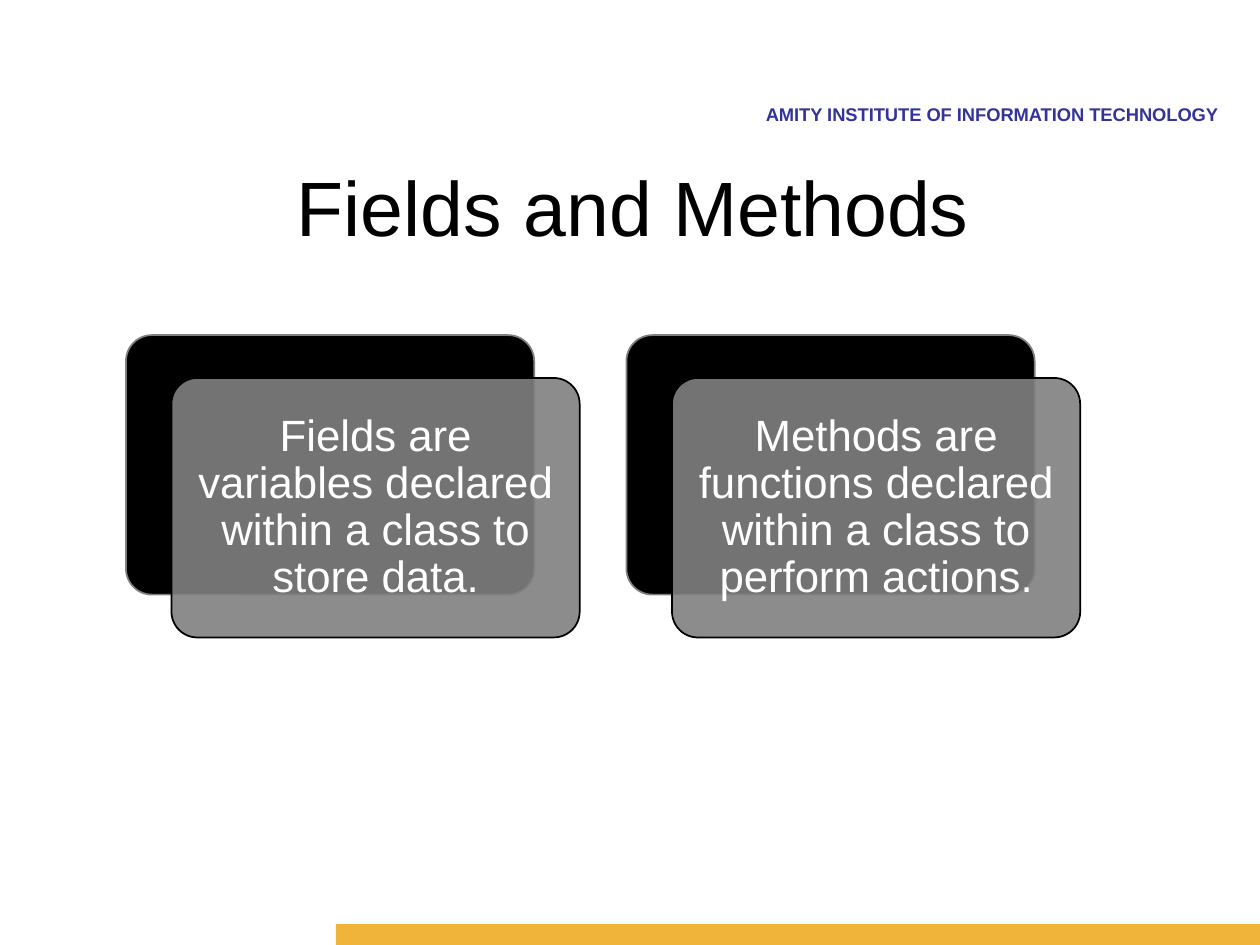
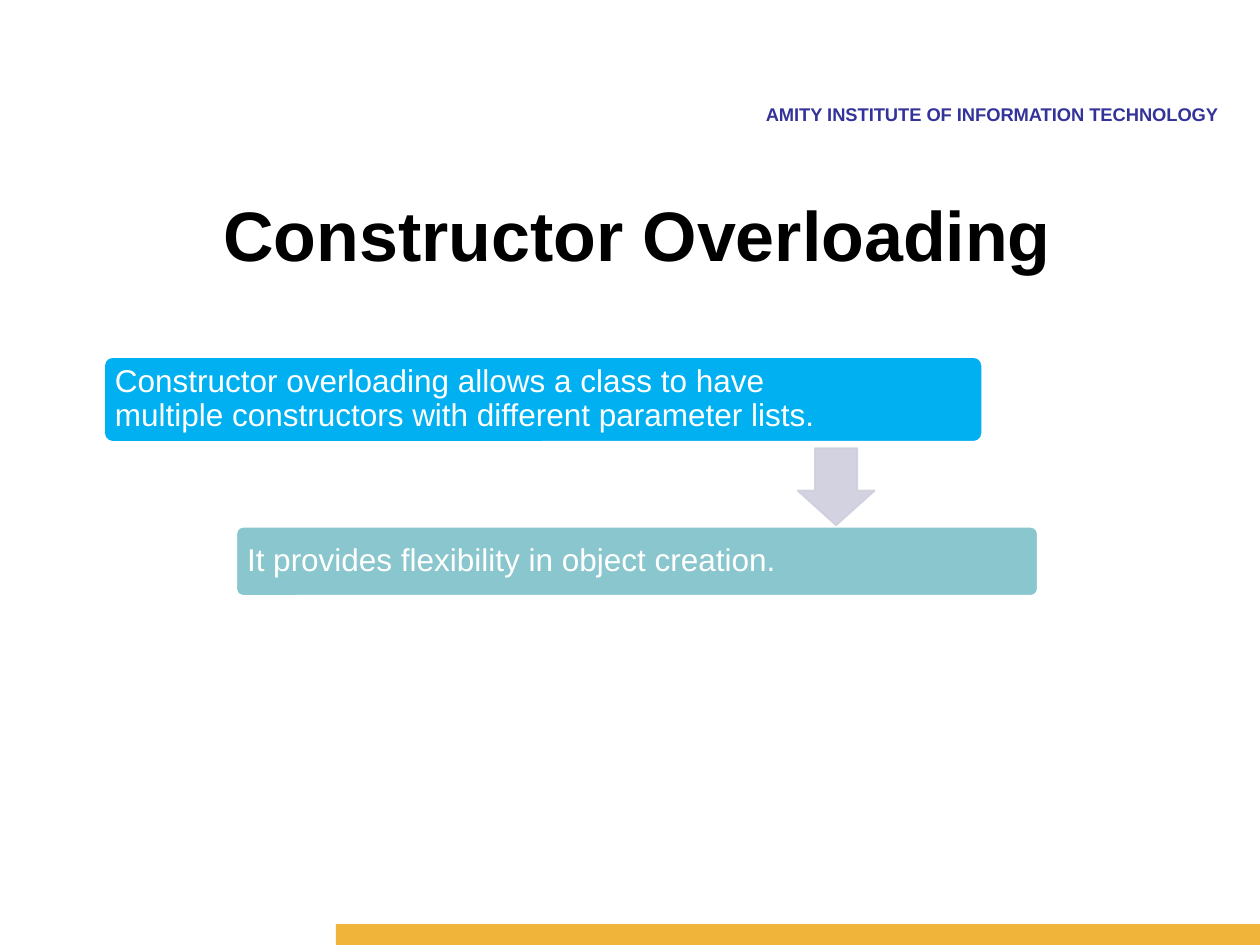
from pptx import Presentation
from pptx.dml.color import RGBColor
from pptx.enum.shapes import MSO_SHAPE as SHAPE
from pptx.enum.text import MSO_ANCHOR as ANCHOR, PP_ALIGN as ALIGN
from pptx.oxml.ns import qn
from pptx.util import Pt
from lxml import etree

COLORS = {
    "black": "000000", "white": "FFFFFF", "grey": "808080",
    "navy": "333399", "gold": "F1B43B",
    "blue": "00B0F0", "teal": "8AC6CD", "lavender": "CECEDE",
}


class Deck:
    """Holds the shared style and the current slide."""

    font = "Arial"

    def __init__(self):
        self.prs = Presentation()
        self.prs.slide_width, self.prs.slide_height = Pt(720), Pt(540)

    def slide(self, title, box, size, bold=False):
        self.current = self.prs.slides.add_slide(self.prs.slide_layouts[6])
        # Institute line and bottom band
        self.text("AMITY INSTITUTE OF INFORMATION TECHNOLOGY",
                  (373.7, 54.7, 329.8, 23.8), 10.5, "navy", bold=True,
                  align=ALIGN.RIGHT, insets=(7.2, 4.5))
        self.shape(SHAPE.RECTANGLE, (192, 528, 528, 12), "gold")
        # Title
        self.text(title, box, size, "black", bold=bold,
                  align=ALIGN.CENTER, insets=(7.2, 7.2))

    def text(self, text, box, size, color, bold=False, align=ALIGN.LEFT,
             anchor=ANCHOR.TOP, insets=(7.2, 3.6), spacing=None):
        tf = self.current.shapes.add_textbox(*map(Pt, box)).text_frame
        tf.word_wrap = True
        tf.vertical_anchor = anchor
        tf.margin_left = tf.margin_right = Pt(insets[0])
        tf.margin_top = tf.margin_bottom = Pt(insets[1])
        p = tf.paragraphs[0]
        p.text = text
        p.alignment = align
        p.line_spacing = spacing
        font = p.runs[0].font
        font.name, font.size, font.bold = self.font, Pt(size), bold
        font.color.rgb = RGBColor.from_string(COLORS[color])

    def shape(self, kind, box, fill, line=None, adjust=(), alpha=None,
              line_alpha=None):
        sp = self.current.shapes.add_shape(kind, *map(Pt, box))
        sp.shadow.inherit = False
        for i, value in enumerate(adjust):
            sp.adjustments[i] = value
        self.paint(sp.fill, fill, alpha)
        if line:
            self.paint(sp.line.fill, line, line_alpha)
            sp.line.width = Pt(1)
        else:
            sp.line.fill.background()

    def paint(self, fill, color, alpha):
        fill.solid()
        fill.fore_color.rgb = RGBColor.from_string(COLORS[color])
        if alpha:
            for clr in fill._xPr.find(qn("a:solidFill")):
                etree.SubElement(clr, qn("a:alpha"), val=str(alpha * 1000))

    def card(self, text, left, top):
        """Black panel with a translucent text panel shifted over it."""
        width, height, pad = 233.3, 148.3, 4.4
        x, y = left + 26, top + 24.5
        self.shape(SHAPE.ROUNDED_RECTANGLE, (left, top, width, height),
                   "black", "grey", [0.1])
        self.shape(SHAPE.ROUNDED_RECTANGLE, (x, y, width, height),
                   "grey", "black", [0.1], alpha=90)
        self.text(text, (x + pad, y + pad, width - 2 * pad, height - 2 * pad),
                  25, "white", align=ALIGN.CENTER, anchor=ANCHOR.MIDDLE,
                  insets=(7.2, 7.2), spacing=0.9)

    def step(self, text, box, fill, text_width):
        """Rounded bar whose text keeps to its left part."""
        x, y, _, height = box
        self.shape(SHAPE.ROUNDED_RECTANGLE, box, fill, "white", [0.1])
        self.text(text, (x + 1.2, y + 1.2, text_width, height - 2.4), 18,
                  "white", anchor=ANCHOR.MIDDLE, insets=(5, 5), spacing=0.9)

    def arrow(self, box):
        self.shape(SHAPE.DOWN_ARROW, box, "lavender", "lavender",
                   [0.55, 0.45], alpha=90, line_alpha=90)


def main():
    deck = Deck()

    # Slide 1: two cards side by side
    deck.slide("Fields and Methods", (64.8, 84.2, 594, 85.7), 44)
    cards = ["Fields are variables declared within a class to store data.",
             "Methods are functions declared within a class to perform actions."]
    for i, text in enumerate(cards):
        deck.card(text, 72 + i * 286, 191.5)

    # Slide 2: two steps joined by an arrow
    deck.slide("Constructor Overloading", (67, 102.2, 594, 71.3), 40, bold=True)
    deck.step("Constructor overloading allows a class to have multiple "
              "constructors with different parameter lists.",
              (59.5, 204, 501.8, 48.5), "blue", 422)
    deck.step("It provides flexibility in object creation.",
              (135, 301, 458, 39.5), "teal", 328.3)
    deck.arrow((455.8, 256.2, 44, 44))

    deck.prs.save("out.pptx")


if __name__ == "__main__":
    main()
